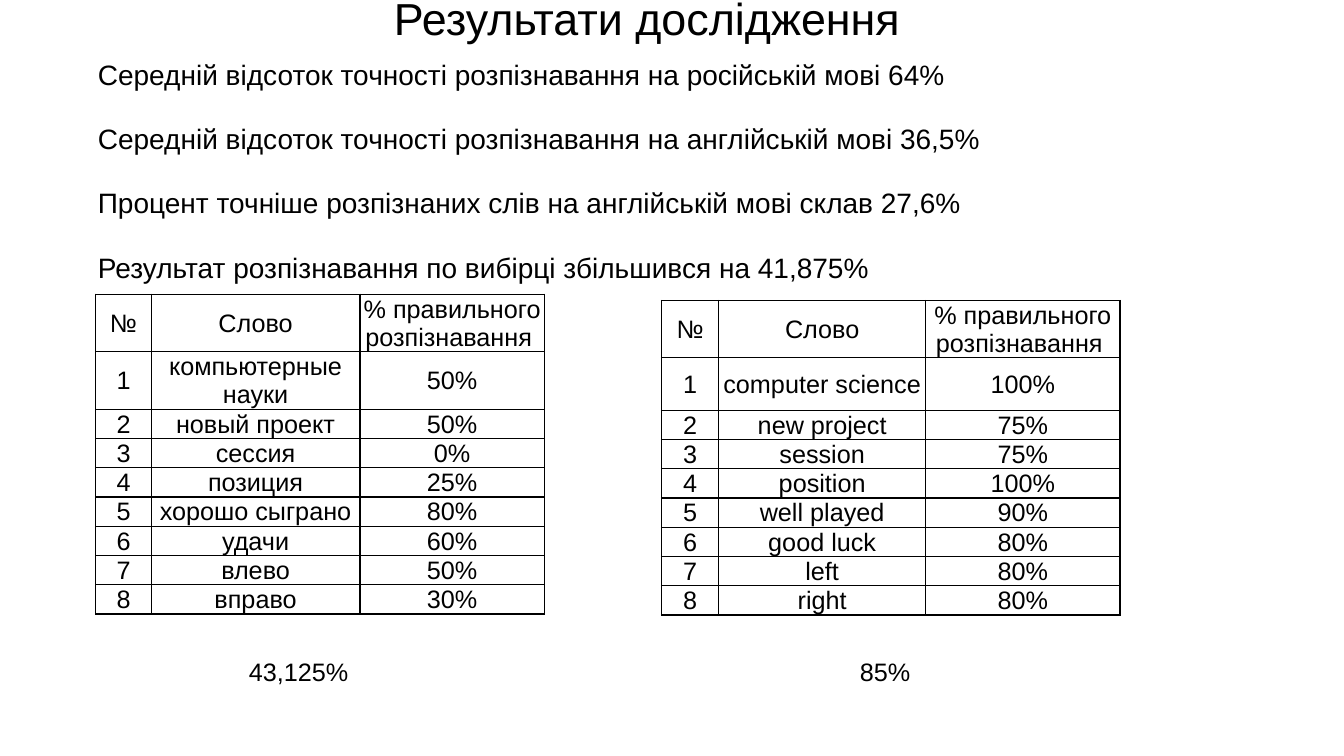
from lxml import etree
from pptx import Presentation
from pptx.dml.color import RGBColor
from pptx.enum.text import MSO_ANCHOR, MSO_AUTO_SIZE, PP_ALIGN
from pptx.oxml.ns import qn
from pptx.util import Inches, Pt

CENTER, JUSTIFY = PP_ALIGN.CENTER, PP_ALIGN.JUSTIFY
TOP, MIDDLE = MSO_ANCHOR.TOP, MSO_ANCHOR.MIDDLE
FIXED, GROW = MSO_AUTO_SIZE.NONE, MSO_AUTO_SIZE.SHAPE_TO_FIT_TEXT
BLACK, WHITE = "000000", "FFFFFF"
FONT = "Arial"

TITLE = "Результати дослідження "
FINDINGS = [
    "Середній відсоток точності розпізнавання на російській мові 64%",
    "Середній відсоток точності розпізнавання на англійській мові 36,5%",
    "Процент точніше розпізнаних слів на англійській мові склав 27,6%",
    "Результат розпізнавання по вибірці збільшився на 41,875%",
]
HEADINGS = ("№", "Слово", "% правильного розпізнавання ")
RUSSIAN = [
    ("компьютерные науки", 50), ("новый проект", 50), ("сессия", 0),
    ("позиция", 25), ("хорошо сыграно", 80), ("удачи", 60),
    ("влево", 50), ("вправо", 30),
]
ENGLISH = [
    ("computer science", 100), ("new project", 75), ("session", 75),
    ("position", 100), ("well played", 90), ("good luck", 80),
    ("left", 80), ("right", 80),
]


def color(hex_value):
    """Turn a hex string into a colour."""
    return RGBColor.from_string(hex_value)


def assign(target, **values):
    """Set every given attribute on the target."""
    for name, value in values.items():
        setattr(target, name, value)


def place(part, box):
    """Move a part to a box of left, top, width and height in inches."""
    assign(part, **dict(zip(("left", "top", "width", "height"), map(Inches, box))))


def write(frame, lines, size, **paragraph_format):
    """Fill a text frame with one formatted paragraph per line."""
    frame.text = "\n".join(lines)
    for paragraph in frame.paragraphs:
        assign(paragraph, **paragraph_format)
        for run in paragraph.runs:
            assign(run.font, size=Pt(size), name=FONT)
            run.font.color.rgb = color(BLACK)


def add_title(slide, box):
    """Put the heading in the title placeholder."""
    heading = slide.shapes.title
    place(heading, box)
    write(heading.text_frame, [TITLE], 32, alignment=CENTER, line_spacing=0.9)
    assign(heading.text_frame, auto_size=FIXED, vertical_anchor=MIDDLE, word_wrap=True)


def add_findings(slide, box):
    """Put the findings in the body placeholder without bullets."""
    findings = slide.placeholders[1]
    place(findings, box)
    write(findings.text_frame, FINDINGS, 20, alignment=JUSTIFY,
          line_spacing=1.5, space_before=Pt(10))
    assign(findings.text_frame, auto_size=FIXED, vertical_anchor=TOP, word_wrap=True)
    for paragraph in findings.text_frame.paragraphs:
        properties = paragraph._p.get_or_add_pPr()
        properties.set("marL", "0")
        properties.set("indent", "0")
        etree.SubElement(properties, qn("a:buNone"))


def add_borders(cell):
    """Draw a thin black line on each side of a cell."""
    properties = cell._tc.get_or_add_tcPr()
    for position, side in enumerate(("a:lnL", "a:lnR", "a:lnT", "a:lnB")):
        border = etree.Element(qn(side), w=str(Pt(1)))
        fill = etree.SubElement(border, qn("a:solidFill"))
        etree.SubElement(fill, qn("a:srgbClr"), val=BLACK)
        properties.insert(position, border)


def add_words(slide, box, widths, heading_height, words):
    """Add a table of numbered words and their recognition rates."""
    rows = [HEADINGS] + [(str(number), word, f"{rate}%")
                         for number, (word, rate) in enumerate(words, 1)]
    heights = [heading_height, 0.52] + [0.26] * (len(rows) - 2)
    table = slide.shapes.add_table(len(rows), len(widths), *map(Inches, box)).table
    assign(table, first_row=False, horz_banding=False)
    for column, width in zip(table.columns, widths):
        column.width = Inches(width)
    for row, height, texts in zip(table.rows, heights, rows):
        row.height = Inches(height)
        for cell, text in zip(row.cells, texts):
            write(cell.text_frame, [text], 18, alignment=CENTER)
            assign(cell, vertical_anchor=MIDDLE, margin_left=Inches(0.01),
                   margin_right=Inches(0.01), margin_top=Inches(0.01), margin_bottom=0)
            cell.fill.solid()
            cell.fill.fore_color.rgb = color(WHITE)
            add_borders(cell)


def add_average(slide, box, average):
    """Add the average rate below a table."""
    frame = slide.shapes.add_textbox(*map(Inches, box)).text_frame
    assign(frame, word_wrap=False, auto_size=GROW)
    write(frame, [average], 18, alignment=JUSTIFY, line_spacing=1.6)


def main():
    """Build and save the slide."""
    deck = Presentation()
    assign(deck, slide_width=Inches(13.33), slide_height=Inches(7.5))
    slide = deck.slides.add_slide(deck.slide_layouts[1])
    add_title(slide, (0.73, -0.18, 11.5, 0.78))
    add_findings(slide, (0.87, 0.35, 11.88, 2.58))
    add_words(slide, (0.95, 2.92, 4.45, 3.39), (0.55, 2.07, 1.83), 0.52, RUSSIAN)
    add_words(slide, (6.56, 2.98, 4.55, 3.3), (0.57, 2.05, 1.93), 0.56, ENGLISH)
    add_average(slide, (2.37, 6.28, 1.2, 0.52), "43,125%")
    add_average(slide, (8.43, 6.28, 0.71, 0.59), "85%")
    deck.save("out.pptx")


main()
